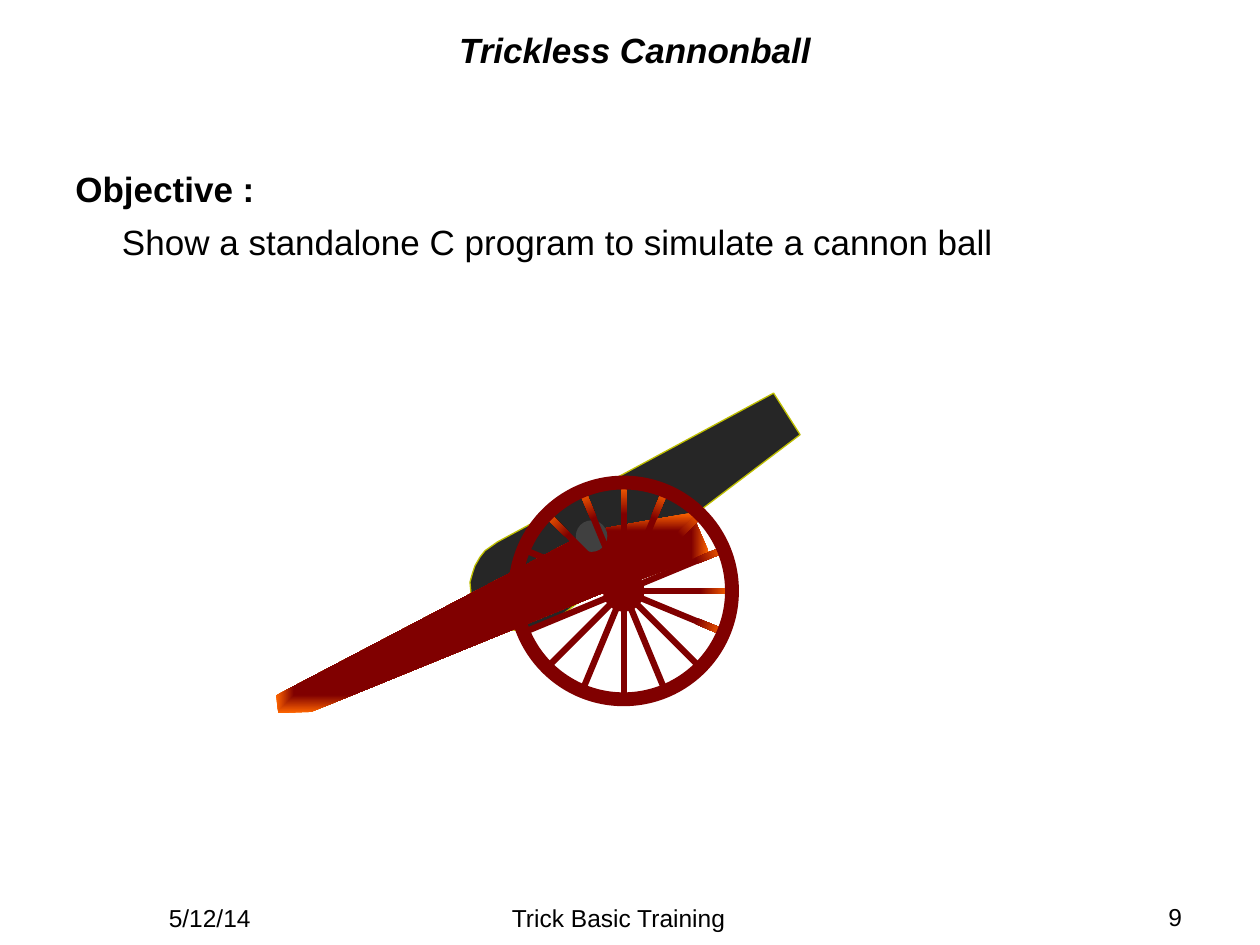
from dataclasses import dataclass

from lxml import etree
from pptx import Presentation
from pptx.dml.color import RGBColor
from pptx.enum.shapes import MSO_SHAPE
from pptx.enum.text import MSO_ANCHOR, PP_ALIGN
from pptx.oxml.ns import qn
from pptx.util import Inches, Pt

ELLIPSE, DONUT, ROUNDED = MSO_SHAPE.OVAL, MSO_SHAPE.DONUT, MSO_SHAPE.ROUNDED_RECTANGLE
LEFT, CENTER, RIGHT = PP_ALIGN.LEFT, PP_ALIGN.CENTER, PP_ALIGN.RIGHT
TOP, MIDDLE = MSO_ANCHOR.TOP, MSO_ANCHOR.MIDDLE


@dataclass(frozen=True)
class Theme:
    font: str = "Arial"
    text: RGBColor = RGBColor(0x00, 0x00, 0x00)
    iron: RGBColor = RGBColor(0x26, 0x26, 0x26)
    pin: RGBColor = RGBColor(0x40, 0x40, 0x40)
    edge: RGBColor = RGBColor(0xBF, 0xBF, 0x00)
    wood: RGBColor = RGBColor(0x80, 0x00, 0x00)
    glow: RGBColor = RGBColor(0xFF, 0x66, 0x00)
    large: Pt = Pt(20)
    small: Pt = Pt(14)


theme = Theme()


def add_text(page, place, lines, size, align=LEFT, anchor=TOP, inset=0.05):
    """Each line is its text, bold, italic and left indent in inches."""
    box = page.shapes.add_textbox(*[Inches(value) for value in place])
    frame = box.text_frame
    frame.word_wrap = True
    frame.vertical_anchor = anchor
    frame.margin_top = Inches(inset)
    frame.text = "\n".join(line[0] for line in lines)
    for number, (para, line) in enumerate(zip(frame.paragraphs, lines)):
        para.alignment = align
        if number:
            para.space_before = Pt(6)
        if line[3]:
            para._p.get_or_add_pPr().set("marL", str(Inches(line[3])))
        for span in para.runs:
            span.font.name = theme.font
            span.font.size = size
            span.font.color.rgb = theme.text
            span.font.bold, span.font.italic = line[1:3]


def paint(shape, color, glow_from=None):
    """Fill without outline; with glow_from, fade to the glow colour."""
    shape.shadow.inherit = False
    shape.line.fill.background()
    if glow_from is None:
        shape.fill.solid()
        shape.fill.fore_color.rgb = color
        return
    shape.fill.gradient()
    shape.fill.gradient_angle = 0
    first, last = shape.fill.gradient_stops
    first.position, first.color.rgb = glow_from, color
    last.position, last.color.rgb = 1, theme.glow


deck = Presentation()
deck.slide_width, deck.slide_height = Inches(10), Inches(7.5)
page = deck.slides.add_slide(deck.slide_layouts[6])
shapes = page.shapes

# Outlines of barrel and carriage, in inches on the page
barrel_points = [
    (6.14, 3.12), (3.95, 4.3), (3.85, 4.37), (3.81, 4.42), (3.77, 4.49),
    (3.75, 4.55), (3.73, 4.62), (3.74, 4.73), (3.77, 4.81), (3.83, 4.9),
    (3.9, 4.95), (4.01, 4.99), (4.14, 5.01), (4.26, 4.99), (4.38, 4.94),
    (6.35, 3.45),
]
carriage_points = [
    (4.54, 4.29), (2.19, 5.52), (2.21, 5.66), (2.47, 5.65), (4.8, 4.7),
    (4.82, 4.63), (4.91, 4.57), (5, 4.56), (5.08, 4.6), (5.63, 4.39),
    (5.49, 4.07), (4.81, 4.19), (4.79, 4.25), (4.73, 4.32), (4.62, 4.31),
]
outlines = []
for points in (barrel_points, carriage_points):
    corners = [(Inches(x), Inches(y)) for x, y in points]
    builder = shapes.build_freeform(*corners[0], scale=1.0)
    builder.add_line_segments(corners[1:], close=True)
    outlines.append(builder.convert_to_shape())
barrel, carriage = outlines

paint(barrel, theme.iron)
barrel.line.color.rgb = theme.edge
barrel.line.width = Pt(0.75)

# The carriage glows towards its outer corners
paint(carriage, theme.wood, 0.82)
gradient = carriage._element.spPr.find(qn("a:gradFill"))
gradient.remove(gradient.find(qn("a:lin")))
shape_path = etree.SubElement(gradient, qn("a:path"), {"path": "shape"})
etree.SubElement(shape_path, qn("a:fillToRect"), {side: "50000" for side in "ltrb"})

# Barrel pin
pin = shapes.add_shape(ELLIPSE, Inches(4.57), Inches(4.13), Inches(0.25), Inches(0.25))
paint(pin, theme.pin)

# Wheel: spokes every 22.5 degrees, then hub and rim
wheel_x, wheel_y = 4.95, 4.69
spoke_length, spoke_width = 1.69, 0.05
for step in range(8):
    spoke = shapes.add_shape(
        ROUNDED, Inches(wheel_x - spoke_length / 2), Inches(wheel_y - spoke_width / 2),
        Inches(spoke_length), Inches(spoke_width))
    spoke.adjustments[0] = 0
    spoke.rotation = 22.5 - 22.5 * step
    paint(spoke, theme.wood, 0.86)

for kind, diameter in ((ELLIPSE, 0.33), (DONUT, 1.83)):
    ring = shapes.add_shape(
        kind, Inches(wheel_x - diameter / 2), Inches(wheel_y - diameter / 2),
        Inches(diameter), Inches(diameter))
    paint(ring, theme.wood)
ring.adjustments[0] = 0.06

# Title and objective
add_text(page, (1, 0.17, 8.08, 0.45), [("Trickless Cannonball", True, True, 0)],
         theme.large, CENTER, MIDDLE)
add_text(page, (0.5, 1.25, 9, 5.45),
         [("Objective :", True, False, 0),
          ("Show a standalone C program to simulate a cannon ball", False, False, 0.37)],
         theme.large, inset=0.08)

# Footer: date, page number, course
for place, words, align in (
    ((0.5, 7.04, 2.33, 0.34), "5/12/14", CENTER),
    ((7.15, 7.03, 2.33, 0.39), "9", RIGHT),
    ((3.33, 7.04, 3.16, 0.39), "Trick Basic Training", CENTER),
):
    add_text(page, place, [(words, False, False, 0)], theme.small, align, inset=0.13)

deck.save("out.pptx")
